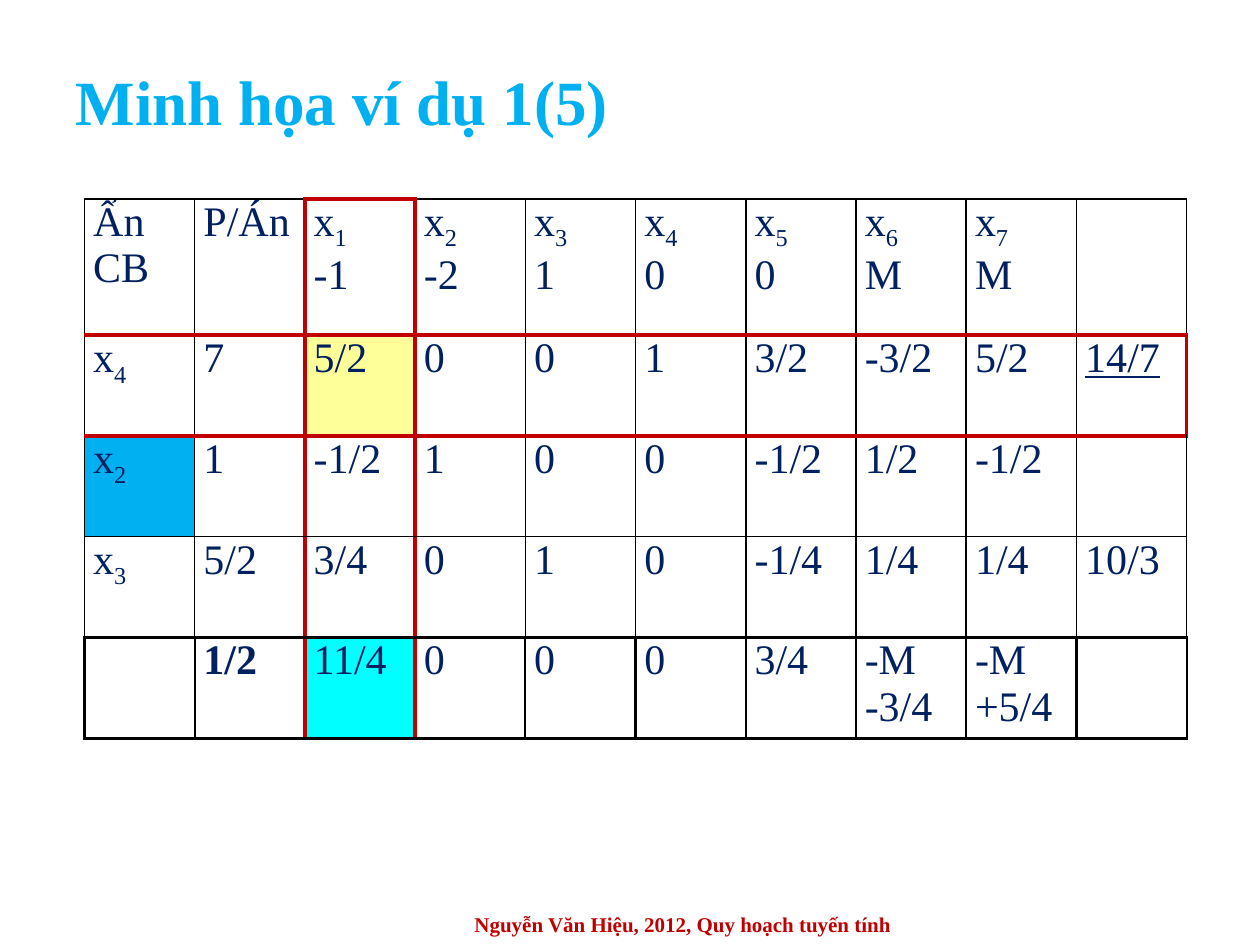
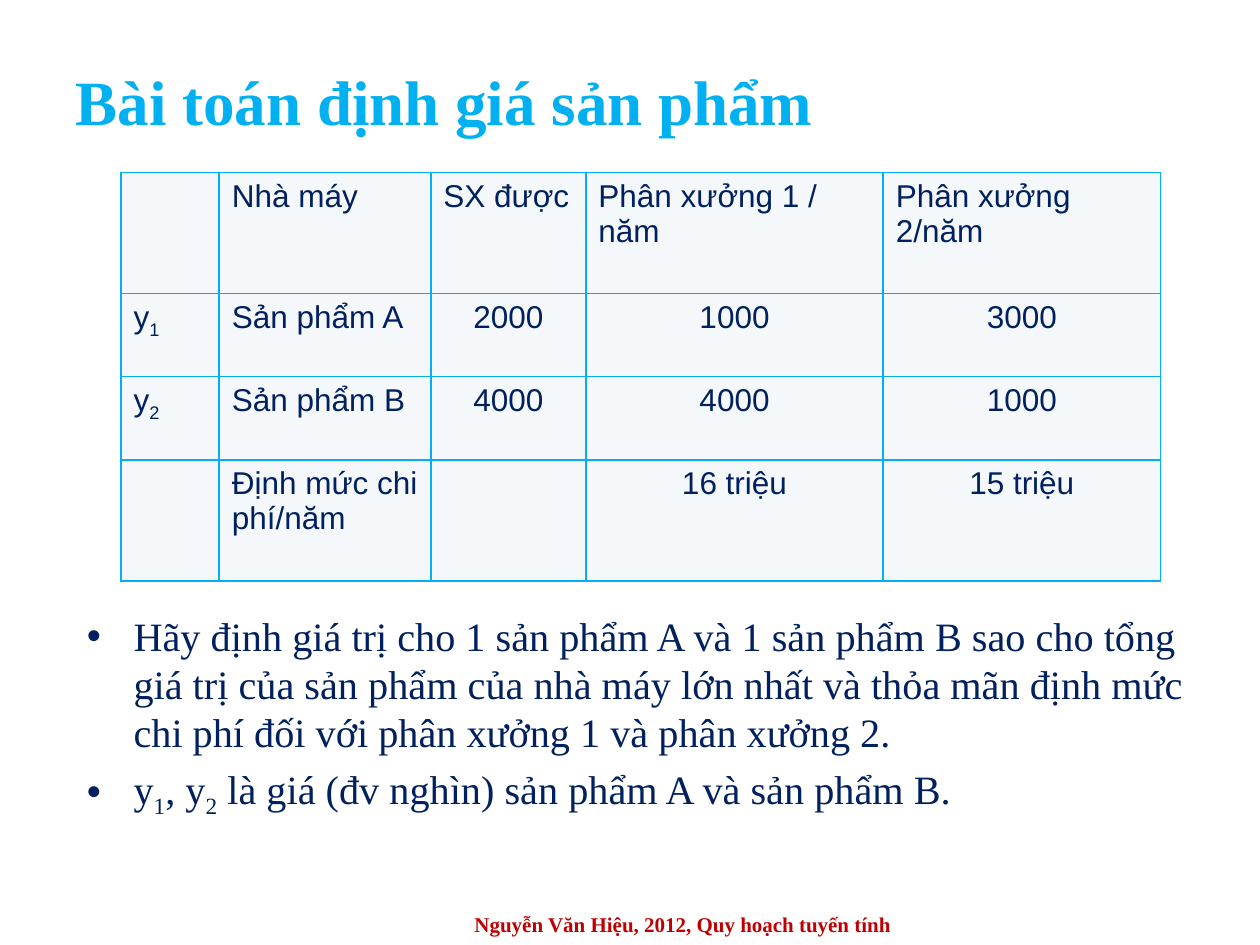
from collections import namedtuple

from lxml import etree
from pptx import Presentation
from pptx.dml.color import RGBColor
from pptx.enum import text
from pptx.oxml.ns import qn
from pptx.util import Inches, Pt

Theme = namedtuple("Theme", "sky navy red black pivot delta panel serif sans title simplex body prices footer")
theme = Theme(
    sky="00B0F0", navy="002060", red="C00000", black="000000",
    pivot="FFFF99", delta="00FFFF", panel="F5F8FA",
    serif="Times New Roman", sans="Arial",
    title=36, simplex=24, body=23, prices=18, footer=12,
)
FOOTER = "Nguyễn Văn Hiệu, 2012, Quy hoạch tuyến tính"


def write(paragraph, markup, size, color, font=theme.serif, bold=False, underline=False):
    head, *tails = markup.split("_")
    pieces = [(head, False)]
    for tail in tails:
        pieces += [(tail[0], True), (tail[1:], False)]
    for words, lowered in pieces:
        if not words:
            continue
        run = paragraph.add_run()
        run.text = words
        run.font.name = font
        run.font.size = Pt(size)
        run.font.bold = bold
        run.font.underline = underline
        run.font.color.rgb = RGBColor.from_string(color)
        if lowered:
            run.font._element.set("baseline", "-25000")


def style_cell(cell, borders, fill=None):
    properties = cell._tc.get_or_add_tcPr()
    for side, (color, width) in zip("LRTB", borders):
        line = etree.SubElement(properties, qn(f"a:ln{side}"), w=str(Pt(width)))
        solid = etree.SubElement(line, qn("a:solidFill"))
        etree.SubElement(solid, qn("a:srgbClr"), val=color)
    if fill:
        cell.fill.solid()
        cell.fill.fore_color.rgb = RGBColor.from_string(fill)
    else:
        cell.fill.background()


deck = Presentation()
deck.slide_width, deck.slide_height = Inches(10), Inches(7.5)

slides = []
for heading, layout in (("Minh họa ví dụ 1(5)", 5), ("Bài toán định giá sản phẩm", 1)):
    slide = deck.slides.add_slide(deck.slide_layouts[layout])
    slides.append(slide)
    title = slide.shapes.title
    title.left, title.top, title.width, title.height = map(Inches, (0.5, 0.42, 9, 0.75))
    title.text_frame.vertical_anchor = text.MSO_ANCHOR.MIDDLE
    title.text_frame.auto_size = text.MSO_AUTO_SIZE.NONE
    title.text_frame.paragraphs[0].alignment = text.PP_ALIGN.LEFT
    write(title.text_frame.paragraphs[0], heading, theme.title, theme.sky, bold=True)

    footer = slide.shapes.add_textbox(*map(Inches, (2.92, 7.17, 5, 0.33))).text_frame
    footer.word_wrap = True
    footer.vertical_anchor = text.MSO_ANCHOR.MIDDLE
    footer.paragraphs[0].alignment = text.PP_ALIGN.CENTER
    write(footer.paragraphs[0], FOOTER, theme.footer, theme.red, bold=True)

simplex_slide, pricing_slide = slides

simplex_rows = [
    ["Ẩn CB", "P/Án", "x_1\n-1", "x_2\n-2", "x_3\n1", "x_4\n0", "x_5\n0", "x_6\nM", "x_7\nM", ""],
    ["x_4", "7", "5/2", "0", "0", "1", "3/2", "-3/2", "5/2", "14/7"],
    ["x_2", "1", "-1/2", "1", "0", "0", "-1/2", "1/2", "-1/2", ""],
    ["x_3", "5/2", "3/4", "0", "1", "0", "-1/4", "1/4", "1/4", "10/3"],
    ["", "1/2", "11/4", "0", "0", "0", "3/4", "-M\n-3/4", "-M\n+5/4", ""],
]
simplex_heights = [1.08, 0.8, 0.8, 0.8, 0.74]
highlights = {(1, 2): theme.pivot, (2, 0): theme.sky, (4, 2): theme.delta}
last_row, last_column = len(simplex_rows) - 1, len(simplex_rows[0]) - 1
pivot_row, pivot_column = 1, 2

simplex = simplex_slide.shapes.add_table(
    len(simplex_rows), len(simplex_rows[0]), Inches(0.67), Inches(1.58),
    Inches(8.75), Inches(sum(simplex_heights))).table
simplex.first_row = simplex.horz_banding = False
for column in simplex.columns:
    column.width = Inches(0.875)
for r, (entries, height) in enumerate(zip(simplex_rows, simplex_heights)):
    simplex.rows[r].height = Inches(height)
    for c, entry in enumerate(entries):
        cell = simplex.cell(r, c)
        cell.margin_left = cell.margin_right = Inches(0.07)
        cell.margin_top = cell.margin_bottom = 0
        for i, line in enumerate(entry.split("\n")):
            paragraph = cell.text_frame.paragraphs[0] if i == 0 else cell.text_frame.add_paragraph()
            paragraph.alignment = text.PP_ALIGN.JUSTIFY
            write(paragraph, line, theme.simplex, theme.navy,
                  bold=(r, c) == (last_row, 1), underline=(r, c) == (pivot_row, last_column))
        strong = (theme.red, 2.25)
        plain = (theme.black, 1.5 if r == last_row else 1)
        below = (theme.black, 1.5 if r >= last_row - 1 else 1)
        style_cell(cell, [
            strong if c in (pivot_column, pivot_column + 1) else plain,
            strong if c in (pivot_column - 1, pivot_column) or (r, c) == (pivot_row, last_column) else plain,
            strong if r in (pivot_row, pivot_row + 1) or (r, c) == (0, pivot_column) else plain,
            strong if r in (pivot_row - 1, pivot_row) else below,
        ], highlights.get((r, c)))

price_rows = [
    ["", "Nhà máy", "SX được", "Phân xưởng 1 / năm", "Phân xưởng 2/năm"],
    ["y_1", "Sản phẩm A", "2000", "1000", "3000"],
    ["y_2", "Sản phẩm B", "4000", "4000", "1000"],
    ["", "Định mức chi phí/năm", "", "16 triệu", "15 triệu"],
]
price_widths = [0.78, 1.68, 1.23, 2.36, 2.2]
price_heights = [0.96, 0.66, 0.66, 0.96]

prices = pricing_slide.shapes.add_table(
    len(price_rows), len(price_widths), Inches(0.96), Inches(1.37),
    Inches(sum(price_widths)), Inches(sum(price_heights))).table
prices.first_row = prices.horz_banding = False
for column, width in zip(prices.columns, price_widths):
    column.width = Inches(width)
for r, (entries, height) in enumerate(zip(price_rows, price_heights)):
    prices.rows[r].height = Inches(height)
    for c, entry in enumerate(entries):
        cell = prices.cell(r, c)
        paragraph = cell.text_frame.paragraphs[0]
        if r > 0 and c > 1:
            paragraph.alignment = text.PP_ALIGN.CENTER
        write(paragraph, entry, theme.prices, theme.navy, font=theme.sans)
        style_cell(cell, [(theme.sky, 1)] * 4, theme.panel)

tasks = [
    "Hãy định giá trị cho 1 sản phẩm A và 1 sản phẩm B sao cho tổng giá trị của sản phẩm của nhà máy "
    "lớn nhất và thỏa mãn định mức chi phí đối với phân xưởng 1 và phân xưởng 2.",
    "y_1, y_2 là giá (đv nghìn) sản phẩm A và sản phẩm B.",
]
task_list = pricing_slide.placeholders[1]
task_list.left, task_list.top, task_list.width, task_list.height = map(Inches, (0.58, 4.8, 9, 2.12))
task_list.text_frame.auto_size = text.MSO_AUTO_SIZE.NONE
for i, task in enumerate(tasks):
    paragraph = task_list.text_frame.paragraphs[0] if i == 0 else task_list.text_frame.add_paragraph()
    paragraph.space_before = Pt(4.8)
    write(paragraph, task, theme.body, theme.navy)
    properties = paragraph._p.get_or_add_pPr()
    properties.set("marL", str(Inches(0.38)))
    properties.set("indent", str(-Inches(0.37)))
    bullet_color = etree.SubElement(properties, qn("a:buClr"))
    etree.SubElement(bullet_color, qn("a:srgbClr"), val=theme.navy)
    etree.SubElement(properties, qn("a:buFont"), typeface=theme.sans)
    etree.SubElement(properties, qn("a:buChar"), char="•")

deck.save("out.pptx")
